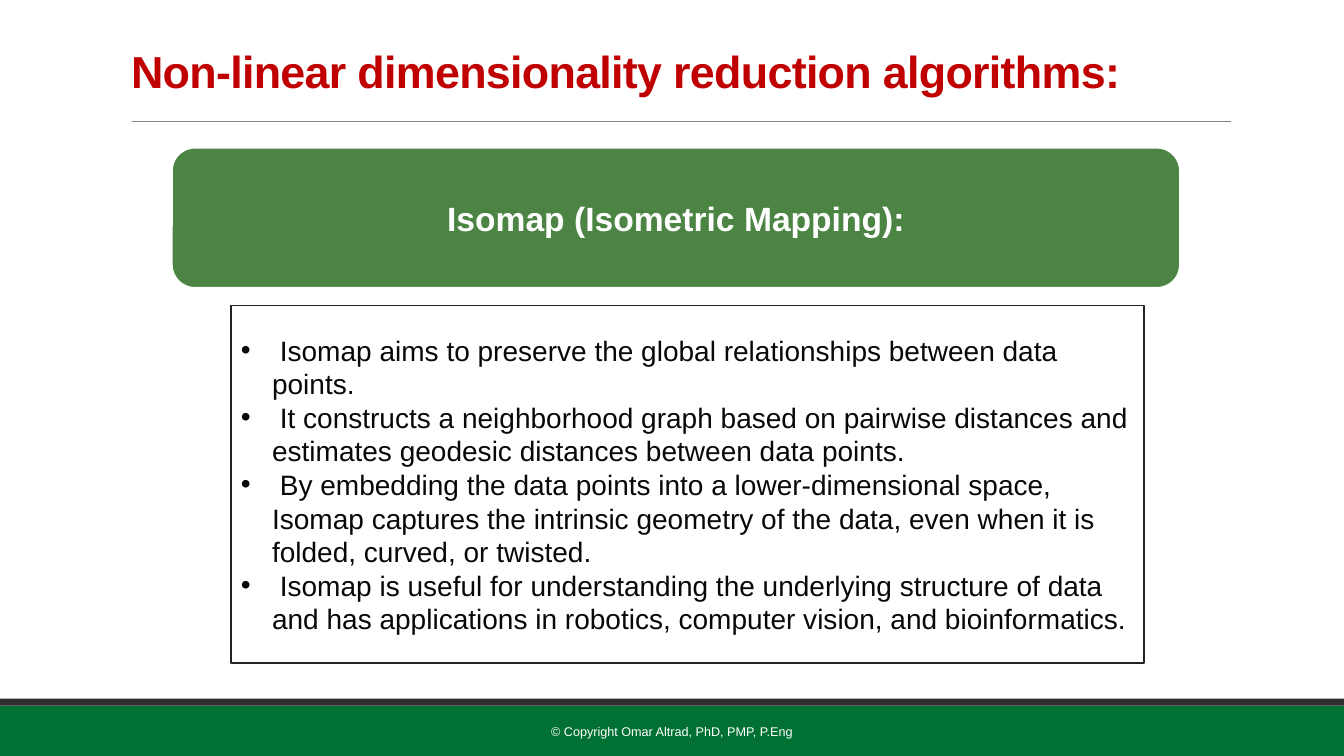
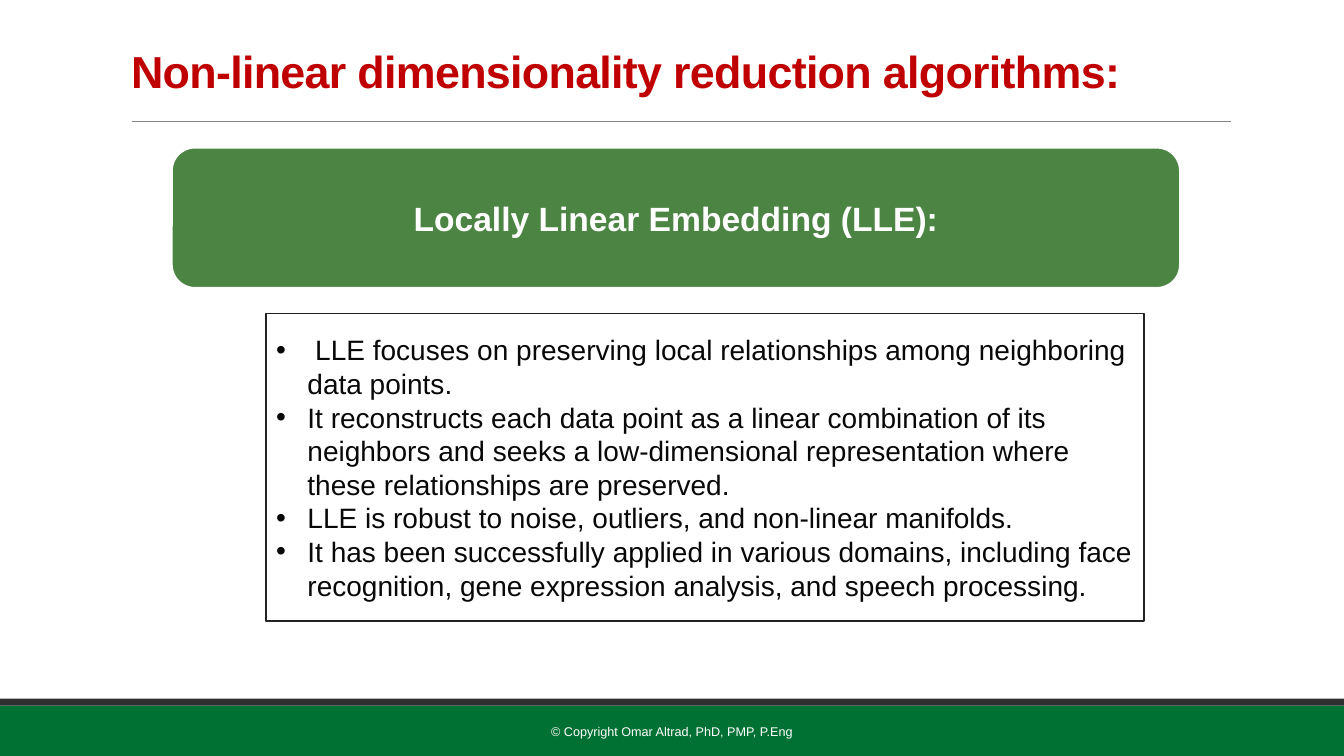
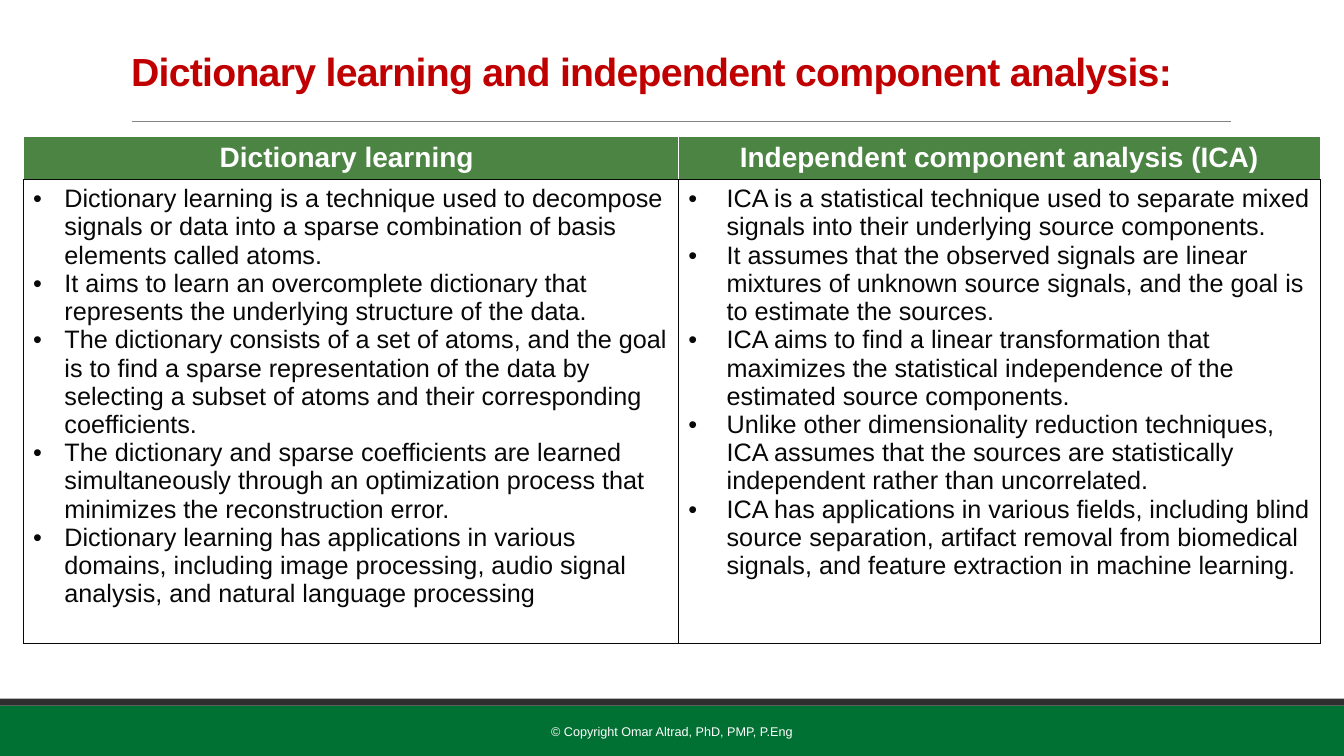
from lxml.etree import SubElement
from pptx import Presentation
from pptx.dml.color import RGBColor
from pptx.enum.shapes import MSO_CONNECTOR, MSO_SHAPE
from pptx.enum.text import MSO_ANCHOR, MSO_AUTO_SIZE, PP_ALIGN
from pptx.oxml.ns import qn
from pptx.util import Inches, Pt

W, H = Inches(13.33), Inches(7.5)
GREEN = RGBColor(0x00, 0x70, 0x33)
LEAF = RGBColor(0x4C, 0x84, 0x44)
CHARCOAL = RGBColor(0x2F, 0x2F, 0x2F)
GREY = RGBColor(0x84, 0x84, 0x84)
RED = RGBColor(0xC0, 0x00, 0x00)
INK = RGBColor(0x08, 0x08, 0x08)
BORDER = RGBColor(0x23, 0x23, 0x23)
WHITE = RGBColor(0xFF, 0xFF, 0xFF)

TITLE_BOX = (9, 4.13, 82.5, 11.47)
FOOTER_BOX = (30.23, 94.13, 39.53, 5.33)
BANNER_BOX = (12.75, 19.47, 75.08, 18.67)
TABLE_BOX = (1.72, 18, 96.53, 62.5)
LIST_RIGHT = 85.13
FOOTER = "© Copyright Omar Altrad, PhD, PMP, P.Eng"

# Text formats
TITLE = {"size": Pt(32), "bold": True, "color": RED}
LONG_TITLE = {**TITLE, "size": Pt(28)}
BANNER = {"size": Pt(24), "bold": True, "color": WHITE}
HEADER = {**BANNER, "size": Pt(20)}
BODY = {"size": Pt(20), "bold": False, "color": INK}
CELL = {**BODY, "size": Pt(18)}
SMALL = {"size": Pt(9), "color": WHITE}

NONLINEAR = "Non-linear dimensionality reduction algorithms:"
ISOMAP = [
    " Isomap aims to preserve the global relationships between data points.",
    " It constructs a neighborhood graph based on pairwise distances and estimates "
    "geodesic distances between data points.",
    " By embedding the data points into a lower-dimensional space, Isomap captures the "
    "intrinsic geometry of the data, even when it is folded, curved, or twisted.",
    " Isomap is useful for understanding the underlying structure of data and has "
    "applications in robotics, computer vision, and bioinformatics.",
]
LLE = [
    " LLE focuses on preserving local relationships among neighboring data points.",
    "It reconstructs each data point as a linear combination of its neighbors and seeks "
    "a low-dimensional representation where these relationships are preserved.",
    "LLE is robust to noise, outliers, and non-linear manifolds.",
    "It has been successfully applied in various domains, including face recognition, "
    "gene expression analysis, and speech processing.",
]
DICTIONARY = [
    "Dictionary learning is a technique used to decompose signals or data into a sparse "
    "combination of basis elements called atoms.",
    "It aims to learn an overcomplete dictionary that represents the underlying "
    "structure of the data.",
    "The dictionary consists of a set of atoms, and the goal is to find a sparse "
    "representation of the data by selecting a subset of atoms and their corresponding "
    "coefficients.",
    "The dictionary and sparse coefficients are learned simultaneously through an "
    "optimization process that minimizes the reconstruction error.",
    "Dictionary learning has applications in various domains, including image "
    "processing, audio signal analysis, and natural language processing",
]
ICA = [
    "ICA is a statistical technique used to separate mixed signals into their underlying "
    "source components.",
    "It assumes that the observed signals are linear mixtures of unknown source signals, "
    "and the goal is to estimate the sources.",
    "ICA aims to find a linear transformation that maximizes the statistical independence "
    "of the estimated source components.",
    "Unlike other dimensionality reduction techniques, ICA assumes that the sources are "
    "statistically independent rather than uncorrelated.",
    "ICA has applications in various fields, including blind source separation, artifact "
    "removal from biomedical signals, and feature extraction in machine learning.",
]
# Header, bullet indent in inches, bullets
COLUMNS = [("Dictionary learning ", 0.31, DICTIONARY),
           ("Independent component analysis (ICA)", 0.38, ICA)]


def place(box):
    """Turn percentages of the slide into lengths."""
    return [int(v * side / 100) for v, side in zip(box, (W, H, W, H))]


def move(shape, box):
    shape.left, shape.top, shape.width, shape.height = place(box)


def write(p, text, fmt, align=PP_ALIGN.LEFT):
    p.alignment = align
    r = p.add_run()
    r.text = text
    r.font.name = "Arial"
    for name, value in fmt.items():
        if name == "color":
            r.font.color.rgb = value
        else:
            setattr(r.font, name, value)
    return r


def write_bullets(tf, items, fmt, indent):
    for i, item in enumerate(items):
        p = tf.add_paragraph() if i else tf.paragraphs[0]
        write(p, item, fmt)
        p.space_before = Pt(0)
        pPr = p._p.get_or_add_pPr()
        pPr.set("marL", str(Inches(indent)))
        pPr.set("indent", str(-Inches(indent)))
        SubElement(pPr, qn("a:buFont"), typeface="Arial")
        SubElement(pPr, qn("a:buChar"), char="•")


def paint(shape, fill, line=None, width=1):
    shape.fill.solid()
    shape.fill.fore_color.rgb = fill
    if line is None:
        shape.line.fill.background()
    else:
        shape.line.color.rgb = line
        shape.line.width = Pt(width)


def add_block(s, kind, box, *colours):
    sp = s.shapes.add_shape(kind, *place(box))
    sp.shadow.inherit = False
    paint(sp, *colours)
    return sp


def set_layout(layout, s):
    """Draw the bands and the rule, and hand them to the layout."""
    for ph in list(layout.placeholders):
        if ph.placeholder_format.idx >= 10:
            ph.element.getparent().remove(ph.element)
    move(layout.placeholders[0], TITLE_BOX)
    band = add_block(s, MSO_SHAPE.RECTANGLE, (0, 93.33, 100, 6.67), GREEN)
    stripe = add_block(s, MSO_SHAPE.RECTANGLE, (0, 92.4, 100, 0.93), CHARCOAL)
    rule = s.shapes.add_connector(MSO_CONNECTOR.STRAIGHT, *place((9.83, 16, 91.58, 16)))
    rule.line.color.rgb = GREY
    rule.line.width = Pt(0.5)
    SubElement(rule.element.spPr, qn("a:effectLst"))
    for i, part in enumerate((band, stripe, rule)):
        layout.shapes.element.insert(2 + i, part.element)


def add_frame(s, title, fmt):
    """Title and footer."""
    tf = s.shapes.title.text_frame
    tf.vertical_anchor = MSO_ANCHOR.MIDDLE
    tf.auto_size = MSO_AUTO_SIZE.NONE
    p = tf.paragraphs[0]
    p.line_spacing = 0.85
    write(p, title, fmt)._r.get_or_add_rPr().set("spc", "-50")
    tf = s.shapes.add_textbox(*place(FOOTER_BOX)).text_frame
    tf.word_wrap = True
    tf.vertical_anchor = MSO_ANCHOR.MIDDLE
    write(tf.paragraphs[0], FOOTER, SMALL, PP_ALIGN.CENTER)


def fill_method_slide(s, name, items, left, top, height):
    """Banner above a framed list."""
    add_frame(s, NONLINEAR, TITLE)
    banner = add_block(s, MSO_SHAPE.ROUNDED_RECTANGLE, BANNER_BOX, LEAF, WHITE, 2)
    tf = banner.text_frame
    tf.word_wrap = True
    tf.vertical_anchor = MSO_ANCHOR.MIDDLE
    write(tf.paragraphs[0], name, BANNER, PP_ALIGN.CENTER)
    body = s.placeholders[1]
    move(body, (left, top, LIST_RIGHT - left, height))
    paint(body, WHITE, BORDER, 1.25)
    tf = body.text_frame
    tf.word_wrap = True
    tf.auto_size = MSO_AUTO_SIZE.NONE
    tf.vertical_anchor = MSO_ANCHOR.MIDDLE
    write_bullets(tf, items, BODY, 0.31)


def style_cell(cell, fill, side, bottom):
    cell.fill.solid()
    cell.fill.fore_color.rgb = fill
    tcPr = cell._tc.get_or_add_tcPr()
    edges = {"a:lnL": side, "a:lnR": side, "a:lnT": side, "a:lnB": bottom}
    for i, (tag, colour) in enumerate(edges.items()):
        ln = SubElement(tcPr, qn(tag), w=str(Pt(1)))
        SubElement(SubElement(ln, qn("a:solidFill")), qn("a:srgbClr"), val=str(colour))
        tcPr.insert(i, ln)


def fill_comparison_slide(s, title, columns, box):
    """Two-column table with a header row."""
    add_frame(s, title, LONG_TITLE)
    body = s.placeholders[1].element
    body.getparent().remove(body)
    x, y, w, h = place(box)
    table = s.shapes.add_table(2, 2, x, y, w, h).table
    table.horz_banding = False
    for col, share in zip(table.columns, (0.505, 0.495)):
        col.width = int(w * share)
    table.rows[0].height = Inches(0.4)
    table.rows[1].height = h - Inches(0.4)
    for c, (header, indent, items) in enumerate(columns):
        head, cell = table.cell(0, c), table.cell(1, c)
        head.vertical_anchor = MSO_ANCHOR.MIDDLE
        write(head.text_frame.paragraphs[0], header, HEADER, PP_ALIGN.CENTER)
        style_cell(head, LEAF, WHITE, INK)
        write_bullets(cell.text_frame, items, CELL, indent)
        style_cell(cell, WHITE, INK, INK)


def main():
    prs = Presentation()
    prs.slide_width, prs.slide_height = W, H
    layout = prs.slide_layouts[1]
    isomap, lle, comparison = [prs.slides.add_slide(layout) for _ in range(3)]
    set_layout(layout, isomap)
    fill_method_slide(isomap, "Isomap (Isometric Mapping):", ISOMAP, 17.17, 40.4, 47.33)
    fill_method_slide(lle, "Locally Linear Embedding (LLE):", LLE, 19.8, 41.47, 40.67)
    fill_comparison_slide(comparison, "Dictionary learning and independent component analysis:",
                          COLUMNS, TABLE_BOX)
    prs.save("out.pptx")


if __name__ == "__main__":
    main()
